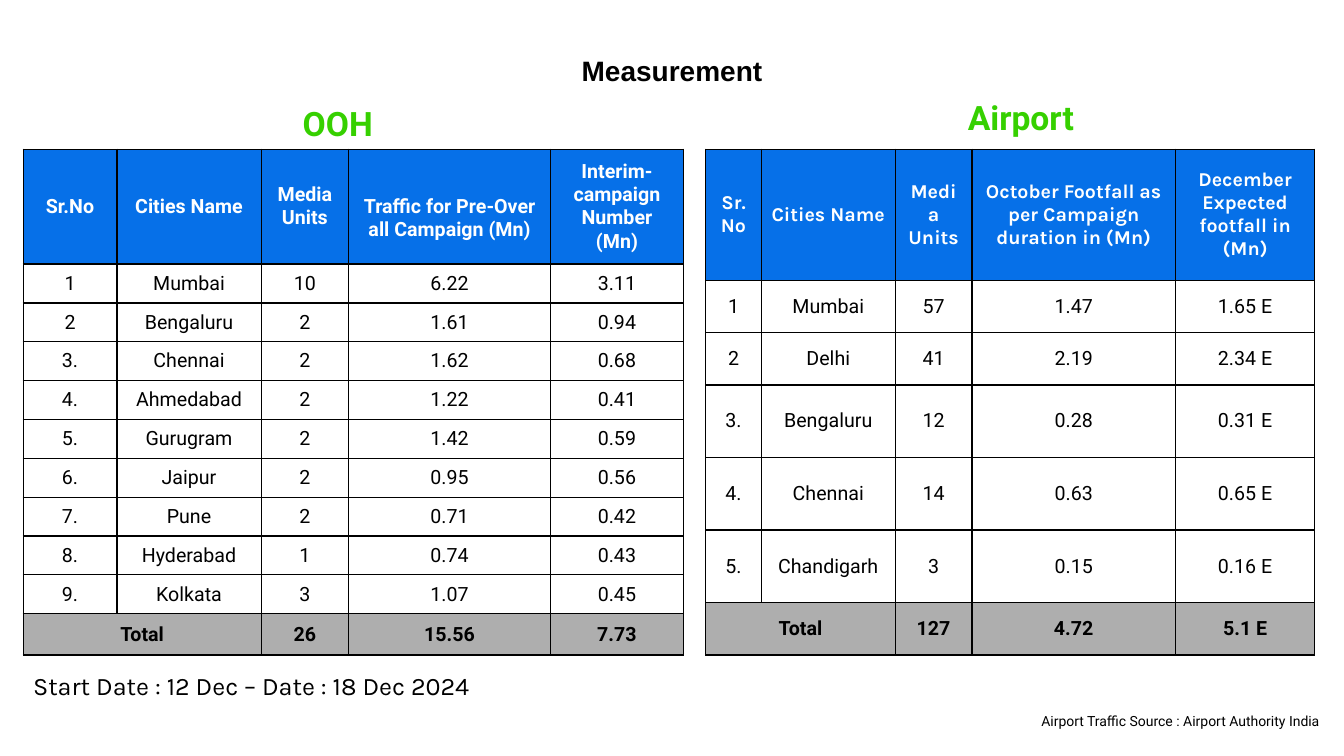
from dataclasses import dataclass

from lxml.etree import SubElement
from pptx import Presentation
from pptx.dml.color import RGBColor as Rgb
from pptx.enum.text import MSO_ANCHOR as Anchor, MSO_AUTO_SIZE as Fit, PP_ALIGN as Align
from pptx.oxml.ns import qn
from pptx.util import Inches, Pt


@dataclass(frozen=True)
class Theme:
    black: str = "000000"
    white: str = "FFFFFF"
    green: str = "36D000"
    blue: str = "0670E8"
    grey: str = "AEAEAE"
    main: str = "Roboto"
    alt: str = "Karla"
    plain: str = "Arial"
    head: int = 24
    title: int = 20
    date: int = 18
    cell: int = 14
    note: int = 10


THEME = Theme()

OOH_HEAD = ["Sr.No", "Cities Name", "Media Units",
            "Traffic for Pre-Over all Campaign (Mn)", "Interim-campaign Number (Mn)"]
OOH_ROWS = [
    ["1", "Mumbai", "10", "6.22", "3.11"],
    ["2", "Bengaluru", "2", "1.61", "0.94"],
    ["3.", "Chennai", "2", "1.62", "0.68"],
    ["4.", "Ahmedabad", "2", "1.22", "0.41"],
    ["5.", "Gurugram", "2", "1.42", "0.59"],
    ["6.", "Jaipur", "2", "0.95", "0.56"],
    ["7.", "Pune", "2", "0.71", "0.42"],
    ["8.", "Hyderabad", "1", "0.74", "0.43"],
    ["9.", "Kolkata", "3", "1.07", "0.45"],
]
OOH_TOTAL = ["Total", "", "26", "15.56", "7.73"]

AIR_HEAD = ["Sr.No", "Cities Name", "Media Units",
            "October Footfall as per Campaign duration in (Mn)",
            "December Expected footfall in (Mn)"]
AIR_ROWS = [
    ["1", "Mumbai", "57", "1.47", "1.65 E"],
    ["2", "Delhi", "41", "2.19", "2.34 E"],
    ["3.", "Bengaluru", "12", "0.28", "0.31 E"],
    ["4.", "Chennai", "14", "0.63", "0.65 E"],
    ["5.", "Chandigarh", "3", "0.15", "0.16 E"],
]
AIR_TOTAL = ["Total", "", "127", "4.72", "5.1 E"]


def style(frame, size, face, color, bold, align):
    for para in frame.paragraphs:
        para.alignment = align
        for run in para.runs:
            font = run.font
            font.size, font.name, font.bold = Pt(size), face, bold
            font.color.rgb = Rgb.from_string(color)


def add_text(slide, box, text, size, face, color=THEME.black, bold=False,
             align=Align.LEFT, anchor=Anchor.TOP):
    frame = slide.shapes.add_textbox(*map(Inches, box)).text_frame
    frame.word_wrap = True
    frame.auto_size = Fit.SHAPE_TO_FIT_TEXT
    frame.vertical_anchor = anchor
    frame.text = text
    style(frame, size, face, color, bold, align)


def add_edges(cell):
    props = cell._tc.get_or_add_tcPr()
    for side in ("lnL", "lnR", "lnT", "lnB"):
        line = SubElement(props, qn(f"a:{side}"), w=str(Pt(1)))
        fill = SubElement(line, qn("a:solidFill"))
        SubElement(fill, qn("a:srgbClr"), val=THEME.black)


def fill_cell(cell, text, face, color, back, bold, pad):
    add_edges(cell)
    cell.fill.solid()
    cell.fill.fore_color.rgb = Rgb.from_string(back)
    cell.margin_left = cell.margin_right = Inches(pad[0])
    cell.margin_top = cell.margin_bottom = Inches(pad[1])
    cell.vertical_anchor = Anchor.MIDDLE
    cell.text_frame.text = text
    style(cell.text_frame, THEME.cell, face, color, bold, Align.CENTER)


def add_grid(slide, left, top, cols, highs, head, rows, total, face, pad):
    lines = [head, *rows, total]
    box = map(Inches, (left, top, sum(cols), sum(highs)))
    table = slide.shapes.add_table(len(lines), len(cols), *box).table
    for col, wide in zip(table.columns, cols):
        col.width = Inches(wide)
    for row, high in zip(table.rows, highs):
        row.height = Inches(high)
    looks = [
        (face, THEME.white, THEME.blue, True),
        *[(THEME.main, THEME.black, THEME.white, False)] * len(rows),
        (THEME.main, THEME.black, THEME.grey, True),
    ]
    for row, line, look in zip(table.rows, lines, looks):
        for cell, text in zip(row.cells, line):
            fill_cell(cell, text, *look, pad)
    last = len(lines) - 1
    table.cell(last, 0).merge(table.cell(last, 1))
    return table


def main():
    deck = Presentation()
    deck.slide_width, deck.slide_height = Inches(13.33), Inches(7.5)
    slide = deck.slides.add_slide(deck.slide_layouts[6])

    add_text(slide, (0.07, 0.48, 13.19, 0.44), "Measurement", THEME.title,
             THEME.plain, bold=True, align=Align.CENTER)
    add_text(slide, (1.28, 0.97, 4.14, 0.5), "OOH", THEME.head, THEME.main,
             THEME.green, True, Align.CENTER, Anchor.MIDDLE)
    add_text(slide, (6.79, 0.91, 6.67, 0.81), "Airport", THEME.head, THEME.main,
             THEME.green, True, Align.CENTER)

    top, high = 1.48, 5.02
    first, last = 1.14, 0.41
    step = (high - first - last) / len(OOH_ROWS)
    ooh = add_grid(slide, 0.23, top, [0.93, 1.43, 0.87, 2, 1.32],
                   [first, *[step] * len(OOH_ROWS), last],
                   OOH_HEAD, OOH_ROWS, OOH_TOTAL, THEME.main, (0.08, 0.03))
    ooh.cell(0, 3).margin_top = Inches(0.26)
    add_grid(slide, 7, top, [0.55, 1.33, 0.76, 2.02, 1.38],
             [1.3, 0.52, 0.52, 0.72, 0.72, 0.72, 0.52],
             AIR_HEAD, AIR_ROWS, AIR_TOTAL, THEME.alt, (0.1, 0.05))

    add_text(slide, (0.23, 6.6, 5.93, 0.4),
             "Start Date : 12 Dec – Date : 18 Dec 2024", THEME.date, THEME.alt)
    add_text(slide, (10.23, 7.02, 3.44, 0.27),
             "Airport Traffic Source : Airport Authority India", THEME.note, THEME.main)
    deck.save("out.pptx")


if __name__ == "__main__":
    main()
